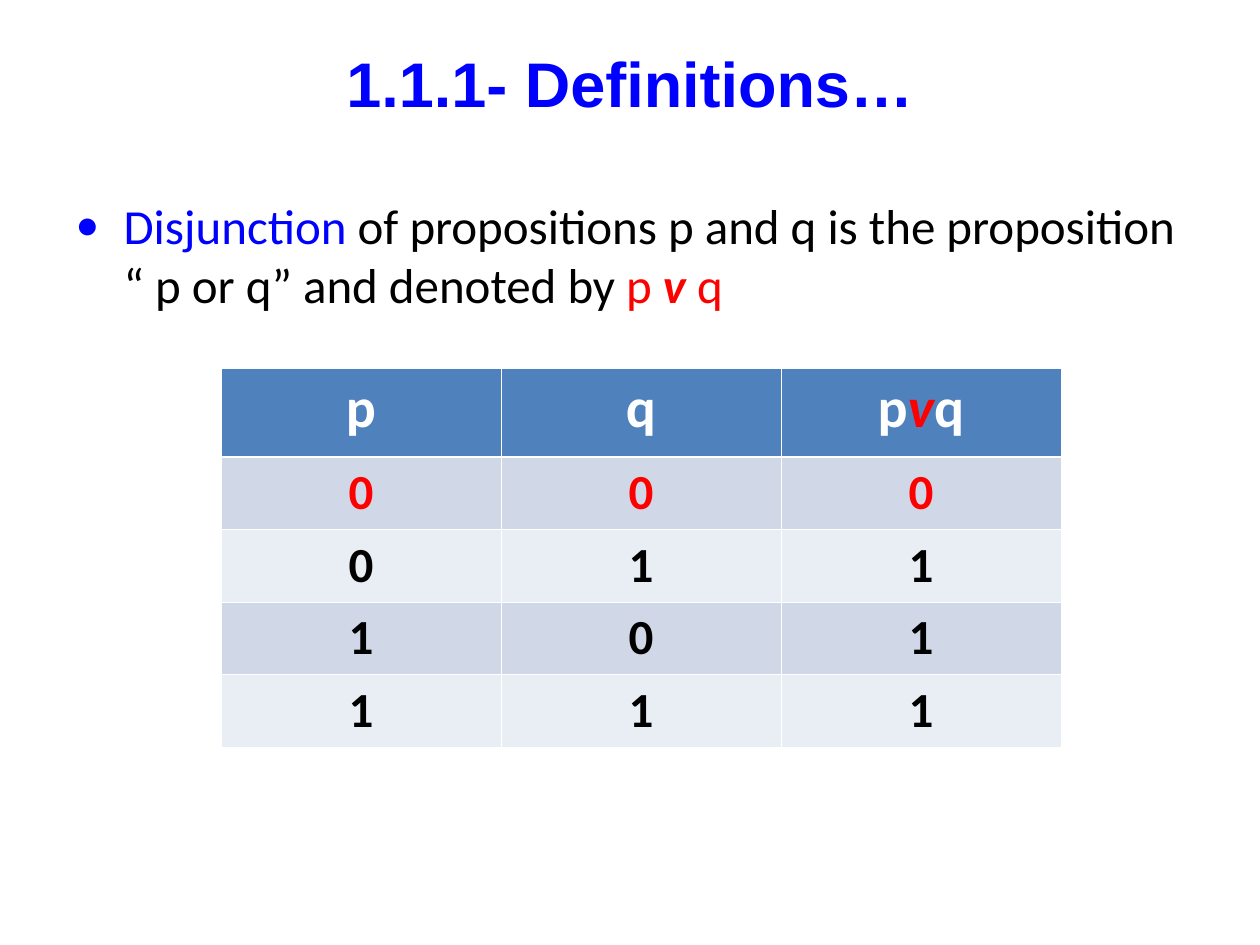
import pptx
import pptx.dml.color
import pptx.enum.text
import pptx.oxml
import pptx.oxml.ns
import pptx.util

PX = 914400 // 126
BLUE, RED, BLACK, WHITE = "0000FF", "FF0000", "000000", "FFFFFF"
HEADER_FILL, BAND_FILLS = "4F81BD", ("D0D8E8", "E9EDF4")
THIN, THICK = 0.45, 1.47


def color(value):
    return pptx.dml.color.RGBColor.from_string(value)


def add_run(paragraph, text, size, value, bold=False, italic=False, name="Calibri"):
    run = paragraph.add_run()
    run.text = text
    run.font.name = name
    run.font.size = pptx.util.Pt(size)
    run.font.bold = bold
    run.font.italic = italic
    run.font.color.rgb = color(value)


presentation = pptx.Presentation()
presentation.slide_width = 1260 * PX
presentation.slide_height = 945 * PX
slide = presentation.slides.add_slide(presentation.slide_layouts[1])

title = slide.shapes.title
body = slide.placeholders[1]
for shape, top, height, anchor in (
    (title, 38, 88, pptx.enum.text.MSO_ANCHOR.MIDDLE),
    (body, 189, 179, pptx.enum.text.MSO_ANCHOR.TOP),
):
    shape.left, shape.top = 63 * PX, top * PX
    shape.width, shape.height = 1134 * PX, height * PX
    shape.text_frame.auto_size = pptx.enum.text.MSO_AUTO_SIZE.NONE
    shape.text_frame.vertical_anchor = anchor

paragraph = title.text_frame.paragraphs[0]
paragraph.alignment = pptx.enum.text.PP_ALIGN.CENTER
add_run(paragraph, "1.1.1- Definitions…", 36, BLUE, bold=True, name="Arial")

paragraph = body.text_frame.paragraphs[0]
paragraph.space_before = pptx.util.Pt(0)
properties = paragraph._p.get_or_add_pPr()
properties.set("marL", str(48 * PX))
properties.set("indent", str(-48 * PX))
namespace = pptx.oxml.ns.nsdecls("a")
for bullet in (
    f'<a:buClr {namespace}><a:srgbClr val="{BLUE}"/></a:buClr>',
    f'<a:buSzPct {namespace} val="80000"/>',
    f'<a:buFont {namespace} typeface="Arial"/>',
    f'<a:buChar {namespace} char="●"/>',
):
    properties.append(pptx.oxml.parse_xml(bullet))
add_run(paragraph, "Disjunction ", 28, BLUE)
add_run(paragraph, "of propositions p and q is the proposition “ p or q” and denoted by ", 28, BLACK)
add_run(paragraph, "p", 28, RED)
add_run(paragraph, " v ", 28, RED, bold=True, italic=True)
add_run(paragraph, "q", 28, RED)

truth_rows = ["pq", "00", "01", "10", "11"]
header_height, row_height, column_width = 89, 72, 280
table = slide.shapes.add_table(
    len(truth_rows), 3, 221 * PX, 368 * PX,
    3 * column_width * PX, (header_height + 4 * row_height) * PX,
).table
for column in table.columns:
    column.width = column_width * PX

for row_index, (p, q) in enumerate(truth_rows):
    is_header = row_index == 0
    table.rows[row_index].height = (header_height if is_header else row_height) * PX
    result = "pvq" if is_header else str(int(p) | int(q))
    for column_index, text in enumerate((p, q, result)):
        cell = table.cell(row_index, column_index)
        paragraph = cell.text_frame.paragraphs[0]
        paragraph.alignment = pptx.enum.text.PP_ALIGN.CENTER
        if is_header:
            for letter in text:
                is_operator = letter == "v"
                add_run(paragraph, letter, 32, RED if is_operator else WHITE, True, is_operator)
        else:
            add_run(paragraph, text, 28, RED if result == "0" else BLACK, True)

        borders = {
            "lnL": THIN,
            "lnR": THIN,
            "lnT": THICK if row_index == 1 else THIN,
            "lnB": THICK if is_header else THIN,
        }
        cell_properties = cell._tc.get_or_add_tcPr()
        for side, width in borders.items():
            cell_properties.append(pptx.oxml.parse_xml(
                f'<a:{side} {namespace} w="{pptx.util.Pt(width)}"><a:solidFill>'
                f'<a:srgbClr val="{WHITE}"/></a:solidFill></a:{side}>'
            ))
        cell.fill.solid()
        fill = HEADER_FILL if is_header else BAND_FILLS[(row_index - 1) % 2]
        cell.fill.fore_color.rgb = color(fill)

presentation.save("out.pptx")
